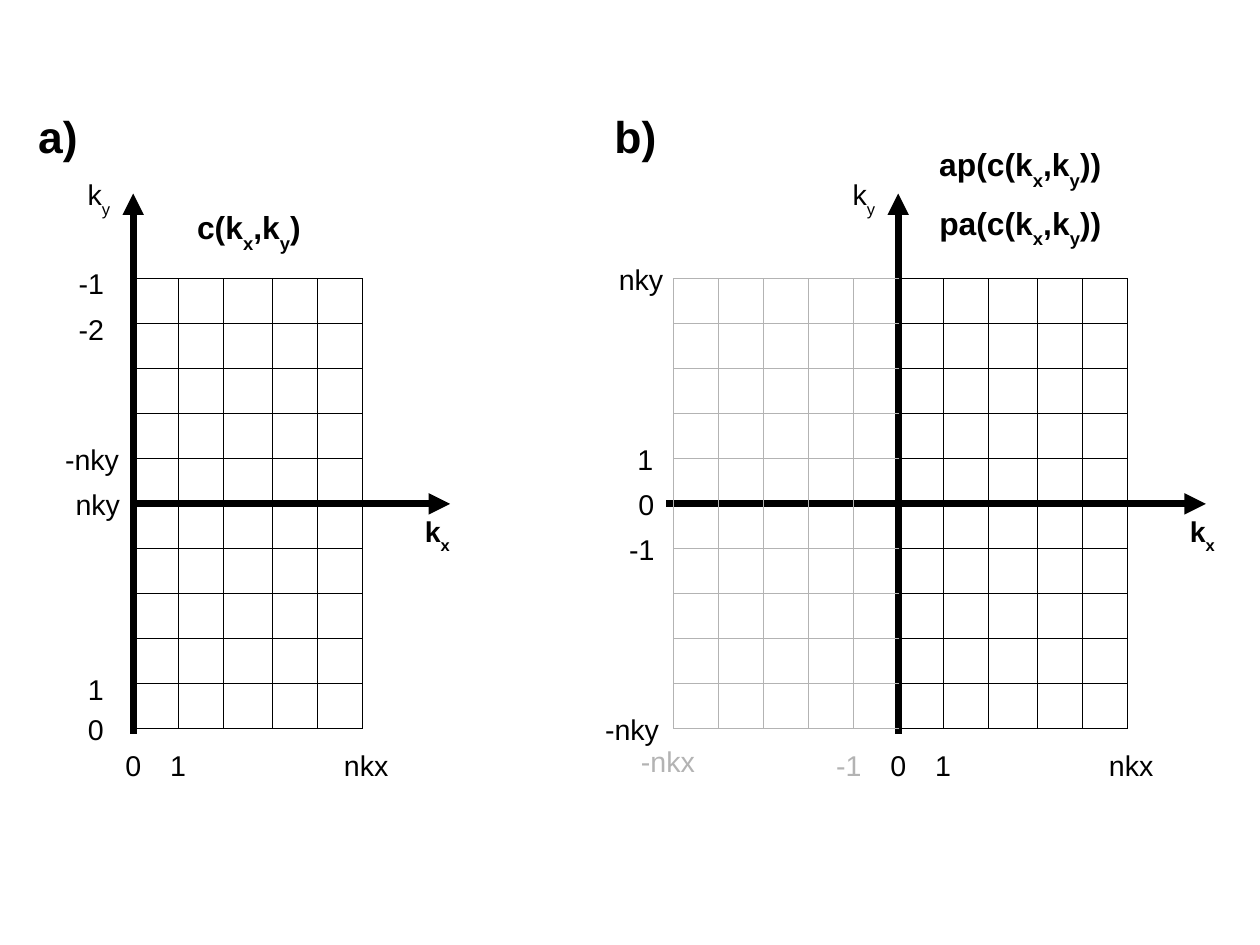
from lxml import etree
from pptx import Presentation
from pptx.dml.color import RGBColor
from pptx.enum.shapes import MSO_CONNECTOR
from pptx.enum.text import MSO_AUTO_SIZE as AutoSize
from pptx.oxml.ns import qn
from pptx.util import Pt

BLACK = RGBColor(0x00, 0x00, 0x00)
GREY = RGBColor(0xB3, 0xB3, 0xB3)

CELL = 28.35          # one grid cell
NKX = 5               # cells along kx
NKY = 5               # cells on each side of the kx axis
BREAK = 2.83          # extra width of the third column
HAIRLINE = 0.01
AXIS_Y = 317.4
TOP, BOTTOM = AXIS_Y - NKY * CELL, AXIS_Y + NKY * CELL
ORIGIN_A, ORIGIN_B = 83.9, 565.8

TICK = {"size": Pt(18), "name": "Arial", "bold": False}
AXIS_NAME = TICK | {"bold": True}
FORMULA = AXIS_NAME | {"size": Pt(20)}
PANEL_NAME = AXIS_NAME | {"size": Pt(28)}


class Diagram:
    def __init__(self, slide):
        self.shapes = slide.shapes

    def line(self, start, end, color=BLACK, width=HAIRLINE, arrow=False):
        connector = self.shapes.add_connector(
            MSO_CONNECTOR.STRAIGHT, *map(Pt, start + end))
        connector.line.color.rgb = color
        connector.line.width = Pt(width)
        properties = connector._element.spPr
        if arrow:
            outline = properties.find(qn("a:ln"))
            etree.SubElement(outline, qn("a:tailEnd"), type="triangle")
        etree.SubElement(properties, qn("a:effectLst"))

    def label(self, text, left, top, width, style=TICK, color=BLACK):
        """Write text; a letter after an underscore becomes a subscript."""
        height = style["size"].pt * 1.12 + 7.2 + (4 if "_" in text else 0)
        box = self.shapes.add_textbox(*map(Pt, (left, top, width, height)))
        frame = box.text_frame
        frame.word_wrap = False
        frame.auto_size = AutoSize.SHAPE_TO_FIT_TEXT
        first, *rest = text.split("_")
        self.run(frame, first, style, color)
        for part in rest:
            self.run(frame, part[0], style, color, subscript=True)
            if part[1:]:
                self.run(frame, part[1:], style, color)

    def run(self, frame, text, style, color, subscript=False):
        run = frame.paragraphs[0].add_run()
        run.text = text
        for attribute, value in style.items():
            setattr(run.font, attribute, value)
        run.font.color.rgb = color
        if subscript:
            run._r.get_or_add_rPr().set("baseline", "-33000")

    def grid(self, left, right, columns, rows, color=BLACK):
        for row in rows:
            y = AXIS_Y + row * CELL
            self.line((left, y), (right, y), color)
        for x in columns:
            self.line((x, BOTTOM), (x, TOP), color)

    def panel(self, origin, kx_start, kx_end):
        """Draw the axes, the grid for positive kx and the shared labels."""
        self.line((kx_start, AXIS_Y), (kx_end, AXIS_Y), width=4.5, arrow=True)
        self.line((origin, 462.1), (origin, 121.9), width=4.5, arrow=True)
        columns = [origin + n * CELL + (BREAK if n > 2 else 0)
                   for n in range(1, NKX + 1)]
        self.grid(origin + BREAK, columns[-1], columns, range(-NKY, NKY + 1))
        self.label("k_x", origin + 176.6, 320.2, 35.3, AXIS_NAME)
        self.label("k_y", origin - 35.8, 108, 28.8)
        for text, offset, width in (("0", -12, 29.5), ("1", 16.1, 29.5),
                                    ("nkx", 125.7, 47.5)):
            self.label(text, origin + offset, 467.7, width)


def main():
    deck = Presentation()
    deck.slide_width, deck.slide_height = Pt(793.7), Pt(595.28)
    diagram = Diagram(deck.slides.add_slide(deck.slide_layouts[6]))

    diagram.panel(ORIGIN_A, 85, 283.5)
    diagram.panel(ORIGIN_B, 419.6, 759.6)

    mirrored = [ORIGIN_B - n * CELL for n in range(1, NKX + 1)]
    mirrored_rows = [row for row in range(-NKY, NKY + 1) if row]
    diagram.grid(mirrored[-1], ORIGIN_B, mirrored, mirrored_rows, GREY)
    diagram.label("-1", 519.6, 467.7, 35.3, color=GREY)
    diagram.label("-nkx", 396.7, 464.9, 48.2, color=GREY)

    ky_ticks = (
        ("-1", 42.5, 164.2, 35.3), ("-2", 42.5, 192.7, 35.3),
        ("-nky", 33.9, 274.7, 57.6), ("nky", 40.5, 303, 42.5),
        ("1", 48.2, 419.5, 29.5), ("0", 48.2, 444.8, 29.5),
        ("nky", 382.7, 161.3, 47.5), ("1", 394.4, 274.7, 29.5),
        ("0", 395, 303, 29.5), ("-1", 389.2, 331.6, 35.3),
        ("-nky", 374.1, 444.8, 53.3),
    )
    for tick in ky_ticks:
        diagram.label(*tick)

    for formula in (("c(k_x,k_y)", 117, 127.4, 79.9),
                    ("ap(c(k_x,k_y))", 584.6, 87.8, 133.9),
                    ("pa(c(k_x,k_y))", 584.6, 124.6, 128.9)):
        diagram.label(*formula, FORMULA)
    for name, left in (("a)", 17), ("b)", 380)):
        diagram.label(name, left, 65.2, 42, PANEL_NAME)

    deck.save("out.pptx")


if __name__ == "__main__":
    main()
